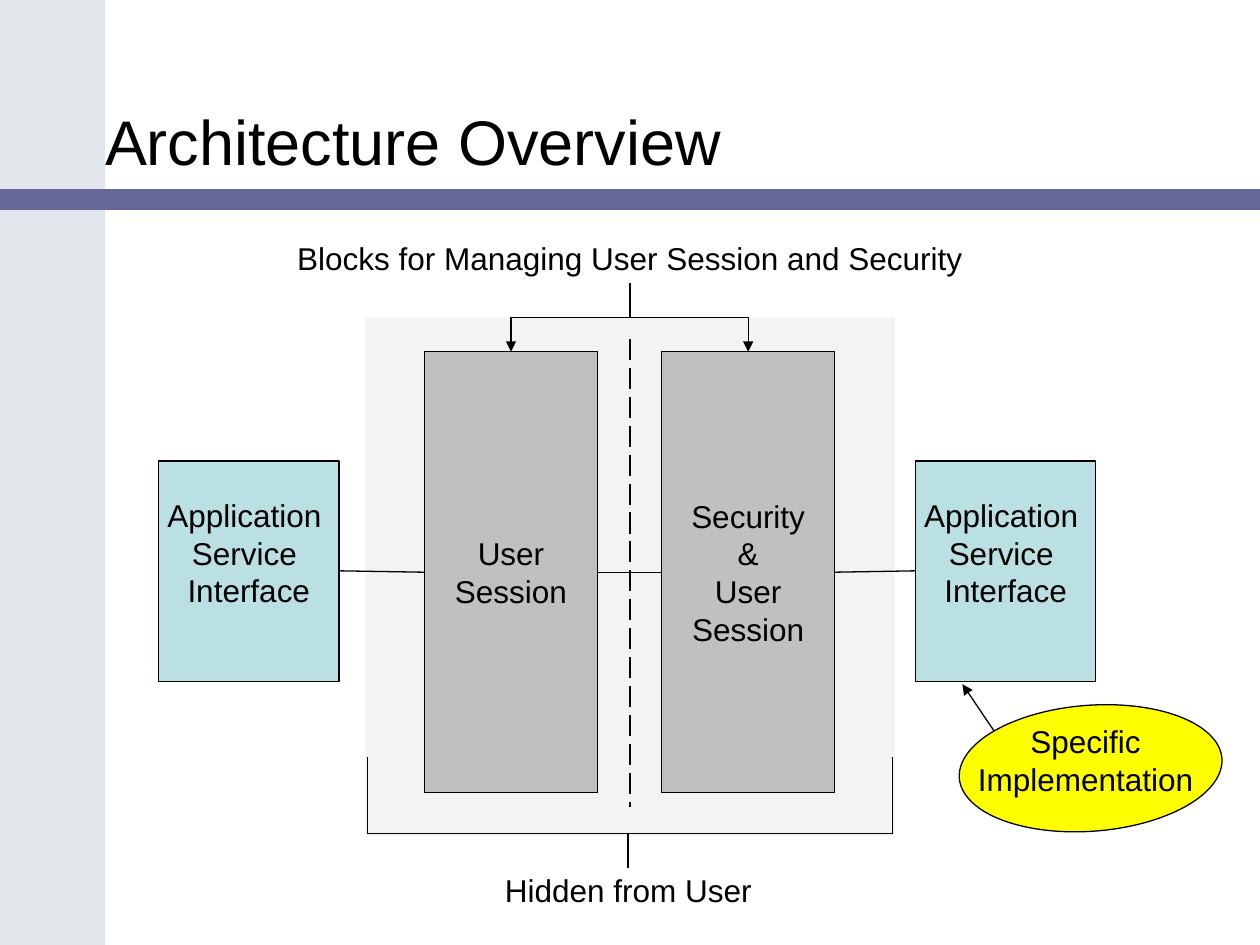
from lxml import etree
from pptx import Presentation
from pptx.dml.color import RGBColor as RGB
from pptx.enum.dml import MSO_LINE as Dash
from pptx.enum.shapes import MSO_CONNECTOR as Conn, MSO_SHAPE as Form
from pptx.enum.text import MSO_ANCHOR as Anchor, MSO_AUTO_SIZE as Fit, PP_ALIGN as Align
from pptx.oxml.ns import qn
from pptx.util import Pt

BLACK = RGB(0x00, 0x00, 0x00)
SIDE = RGB(0xE1, 0xE6, 0xEB)
BAR = RGB(0x66, 0x66, 0x99)
PANEL = RGB(0xEA, 0xEA, 0xEA)
TEAL = RGB(0xBB, 0xE0, 0xE3)
GRAY = RGB(0xC0, 0xC0, 0xC0)
YELLOW = RGB(0xFF, 0xFF, 0x00)


class Board:
    font = "Arial"
    size = 18
    thin = 0.75

    def __init__(self, slide):
        self.slide = slide
        self.shapes = slide.shapes

    def letter(self, frame, text, size, align):
        frame.text = text
        for para in frame.paragraphs:
            para.alignment = align
            for run in para.runs:
                run.font.name = self.font
                run.font.size = Pt(size)
                run.font.color.rgb = BLACK

    def title(self, text, x, y, w, h):
        shape = self.shapes.title
        shape.left, shape.top, shape.width, shape.height = map(Pt, (x, y, w, h))
        frame = shape.text_frame
        frame.auto_size = Fit.NONE
        frame.vertical_anchor = Anchor.BOTTOM
        frame.margin_left = frame.margin_right = 0
        frame.margin_top = frame.margin_bottom = 0
        self.letter(frame, text, 36, Align.LEFT)

    def block(self, x, y, w, h, fill, form=Form.RECTANGLE, line=True, text="", low=3.6):
        shape = self.shapes.add_shape(form, Pt(x), Pt(y), Pt(w), Pt(h))
        shape.shadow.inherit = False
        shape.fill.solid()
        shape.fill.fore_color.rgb = fill
        if line:
            shape.line.color.rgb = BLACK
            shape.line.width = Pt(self.thin)
        else:
            shape.line.fill.background()
        if text:
            frame = shape.text_frame
            frame.word_wrap = False
            frame.vertical_anchor = Anchor.MIDDLE
            frame.margin_bottom = Pt(low)
            self.letter(frame, text, self.size, Align.CENTER)
        return shape

    def label(self, text, x, y, w, h, align=Align.LEFT):
        frame = self.shapes.add_textbox(Pt(x), Pt(y), Pt(w), Pt(h)).text_frame
        frame.word_wrap = False
        frame.auto_size = Fit.SHAPE_TO_FIT_TEXT
        self.letter(frame, text, self.size, align)

    def line(self, x1, y1, x2, y2, kind=Conn.STRAIGHT, width=thin, dash=None, arrow=False):
        link = self.shapes.add_connector(kind, Pt(x1), Pt(y1), Pt(x2), Pt(y2))
        link.line.color.rgb = BLACK
        link.line.width = Pt(width)
        if dash:
            link.line.dash_style = dash
        props = link.element.spPr
        if arrow:
            etree.SubElement(props.find(qn("a:ln")), qn("a:tailEnd"), type="triangle")
        etree.SubElement(props, qn("a:effectLst"))
        return link

    def elbow(self, x1, y1, x2, y2):
        mid_x, mid_y = (x1 + x2) / 2, (y1 + y2) / 2
        side = 1 if x2 < x1 else -1
        dx, dy = side * (y2 - y1) / 2, abs(x2 - x1) / 2
        link = self.line(mid_x - dx, mid_y - dy, mid_x + dx, mid_y + dy,
                         kind=Conn.ELBOW, arrow=True)
        turn = side * 90 % 360
        link.element.spPr.find(qn("a:xfrm")).set("rot", str(turn * 60000))


def fade(shape, share):
    color = shape.element.spPr.find(qn("a:solidFill"))[0]
    etree.SubElement(color, qn("a:alpha"), val=str(share * 1000))


def main():
    deck = Presentation()
    deck.slide_width, deck.slide_height = Pt(720), Pt(540)
    board = Board(deck.slides.add_slide(deck.slide_layouts[5]))

    board.block(0, 0, 60, 540, SIDE, line=False)
    bar = board.block(0, 108, 720, 12, BAR, Form.ROUNDED_RECTANGLE, line=False)
    bar.adjustments[0] = 0.01
    board.title("Architecture Overview", 60, 12, 552, 90)

    fade(board.block(208.8, 181.5, 302.4, 296.5, PANEL, line=False), 55)
    for x in (90.7, 523.2):
        board.block(x, 263.5, 103, 126, TEAL,
                    text="Application \nService \nInterface", low=25.2)
    for x, text in ((242.5, "User\nSession"), (378, "Security\n&\nUser\nSession")):
        board.block(x, 201, 99, 252, GRAY, text=text)

    board.label("Blocks for Managing User Session and Security", 162.8, 133.2, 394.4, 28.8)
    for x in (292, 427.5):
        board.elbow(360, 162, x, 201)
    board.line(360, 193.7, 360, 461, width=1.5, dash=Dash.LONG_DASH)

    for x1, y1, x2, y2 in ((193.7, 326.2, 242.5, 327), (341.5, 327, 378, 327),
                           (477, 327, 523.2, 326.2)):
        board.line(x1, y1, x2, y2)

    left, right, base = 210.2, 510.2, 476.5
    for x in (left, right):
        board.line(x, 432.7, x, base)
    board.line(left, base, right, base)
    board.line(358.8, base, 358.8, 496)
    board.label("Hidden from User", 281.5, 494, 155.5, 28.8)

    oval = board.block(548, 403, 150.5, 72, YELLOW, Form.OVAL)
    oval.rotation = 355.7
    board.line(568, 417.6, 550, 391, arrow=True)
    board.label("Specific\nImplementation", 551.5, 409, 137.5, 50.4, Align.CENTER)

    deck.save("out.pptx")


if __name__ == "__main__":
    main()
